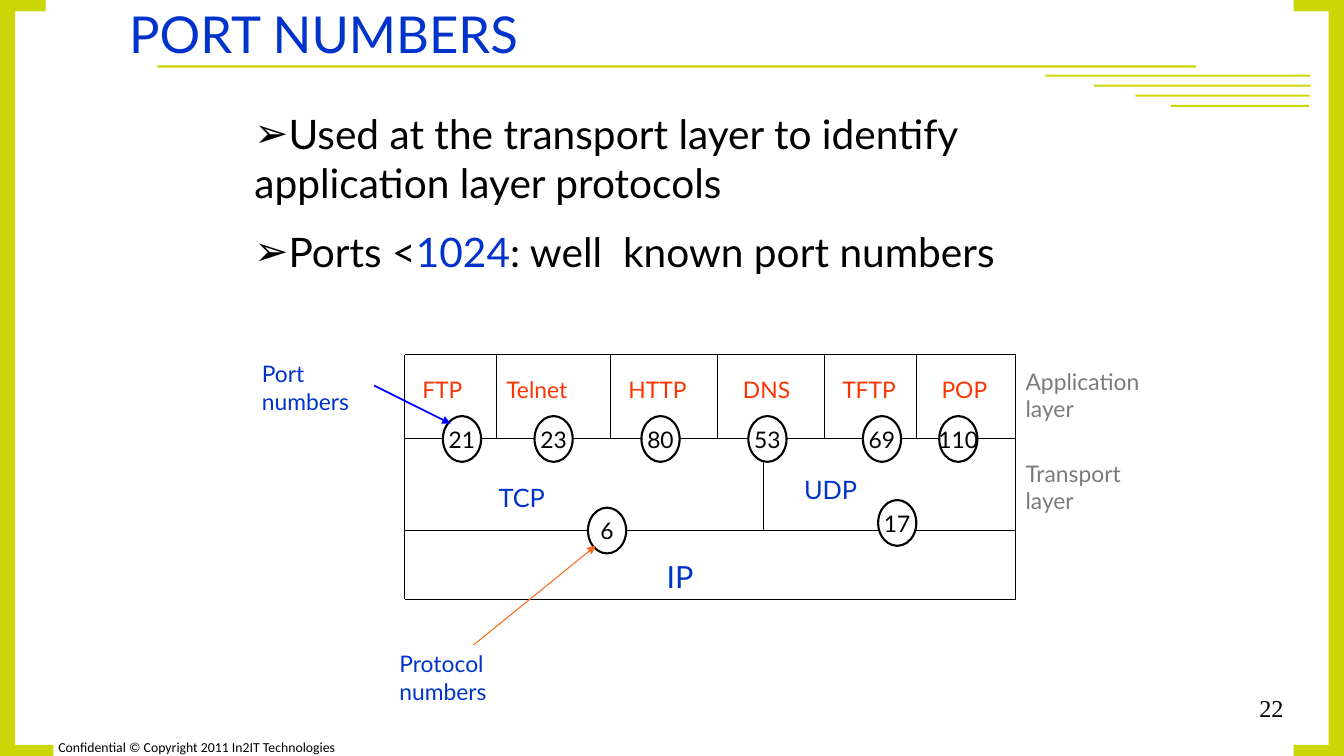
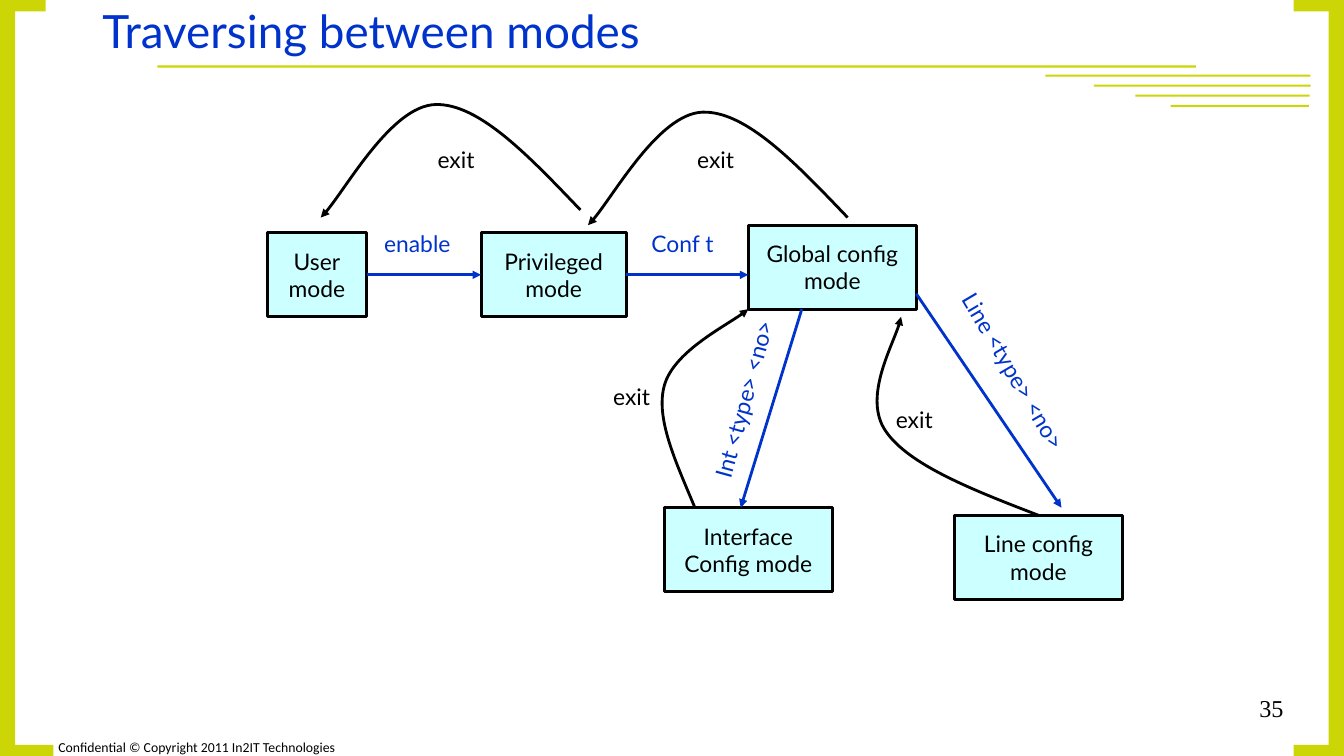
from lxml.etree import SubElement
from pptx import Presentation
from pptx.dml.color import RGBColor
from pptx.enum.shapes import MSO_CONNECTOR as Link, MSO_SHAPE as Shape
from pptx.enum.text import MSO_ANCHOR as Anchor, MSO_AUTO_SIZE as AutoSize, PP_ALIGN as Align
from pptx.oxml.ns import qn
from pptx.util import Inches, Pt

# Square grid: 176 columns, with row 0 half a cell below the top edge
WIDTH, HEIGHT = Inches(13.33), Inches(7.5)
CELL = WIDTH / 176
TOP, FULL = -0.5, HEIGHT / CELL

LIME, BLUE, RED, GREY = "CCD606", "0033CC", "FF3300", "797B7E"
BLACK, WHITE, PALE = "000000", "FFFFFF", "CCFFFF"
ARROW_BLUE, ORANGE = "0000FF", "F96A1B"
FONT, LABEL = "Lato", 16.3


def rgb(color):
    return RGBColor.from_string(color)


def point(col, row):
    return round(col * CELL), round((row + 0.5) * CELL)


def area(col, row, cols, rows):
    return (*point(col, row), round(cols * CELL), round(rows * CELL))


def add_run(para, text, size, color, font=FONT):
    span = para.add_run()
    span.text = text
    span.font.name, span.font.size = font, Pt(size)
    span.font.color.rgb = rgb(color)


def next_para(frame, index):
    return frame.add_paragraph() if index else frame.paragraphs[0]


def add_label(page, text, place, size=LABEL, color=BLACK, font=FONT, turn=0):
    box = page.shapes.add_textbox(*area(*place))
    box.rotation = turn
    box.text_frame.word_wrap = True
    add_run(box.text_frame.paragraphs[0], text, size, color, font)
    return box


def add_figure(page, kind, place, fill=None, line=None, weight=1.5,
               lines=(), size=LABEL, font=FONT):
    figure = page.shapes.add_shape(kind, *area(*place))
    figure.shadow.inherit = False
    if fill:
        figure.fill.solid()
        figure.fill.fore_color.rgb = rgb(fill)
    else:
        figure.fill.background()
    if line:
        figure.line.color.rgb = rgb(line)
        figure.line.width = Pt(weight)
    else:
        figure.line.fill.background()
    frame = figure.text_frame
    frame.word_wrap = False
    frame.vertical_anchor = Anchor.MIDDLE
    frame.margin_left = frame.margin_right = frame.margin_top = frame.margin_bottom = 0
    for index, text in enumerate(lines):
        para = next_para(frame, index)
        para.alignment = Align.CENTER
        add_run(para, text, size, BLACK, font)
    return figure


def style_line(shape, color, weight, arrow):
    shape.line.color.rgb = rgb(color)
    shape.line.width = Pt(weight)
    if arrow:
        SubElement(shape.line._get_or_add_ln(), qn("a:tailEnd"), type="triangle")


def add_line(page, start, end, color=BLACK, weight=0.75, arrow=False):
    link = page.shapes.add_connector(Link.STRAIGHT, *point(*start), *point(*end))
    style_line(link, color, weight, arrow)
    SubElement(link.element.spPr, qn("a:effectLst"))
    return link


def add_curve(page, nodes):
    """Arrowed Bezier curve: a start, then three nodes for each segment."""
    places = [point(*node) for node in nodes]
    builder = page.shapes.build_freeform(*places[0])
    builder.add_line_segments(places[1:], close=False)
    curve = builder.convert_to_shape()
    outline = curve.element.find(".//" + qn("a:path"))
    legs = outline.findall(qn("a:lnTo"))
    for first in range(0, len(legs), 3):
        bend = SubElement(outline, qn("a:cubicBezTo"))
        for leg in legs[first:first + 3]:
            bend.append(leg[0])
            outline.remove(leg)
    curve.fill.background()
    curve.shadow.inherit = False
    style_line(curve, BLACK, 2, True)


def place_placeholder(holder, place):
    holder.left, holder.top, holder.width, holder.height = area(*place)
    holder.text_frame.auto_size = AutoSize.NONE
    holder.text_frame.vertical_anchor = Anchor.TOP
    return holder.text_frame


def add_page(deck, layout, title, place, size, number):
    page = deck.slides.add_slide(deck.slide_layouts[layout])
    para = place_placeholder(page.shapes.title, place).paragraphs[0]
    para.alignment = Align.LEFT
    add_run(para, title, size, BLUE)
    add_figure(page, Shape.OVAL, (161.7, 88.6, 9.6, 7.3), line=WHITE,
               lines=[number], size=17.3, font="Times New Roman")
    return page


def add_bullets(frame, items):
    for index, spans in enumerate(items):
        para = next_para(frame, index)
        props = para._p.get_or_add_pPr()
        props.set("marL", "0")
        props.set("indent", "0")
        SubElement(props, qn("a:buChar"), char="➢")
        para.space_before = Pt(14.5 if index else 0)
        for text, color in spans:
            add_run(para, text, 29, color)


def frame_master(deck, page):
    """Draw the shared bands, rules and footer, and hand them to the master."""
    bands = [(0, TOP, 2, FULL), (174, TOP, 2, FULL)]
    bands += [(col, row, 5, 1.5) for col, row in
              [(1, TOP), (169.4, TOP), (2, 97.07), (169.4, 97.07)]]
    bands.append((20.6, 8.08, 136, 0.27))
    bands += [(col, 9.27 + 1.32 * step, cols, 0.27) for step, (col, cols) in
              enumerate([(136.9, 34.7), (143.25, 28.4), (148.7, 22.8), (153.3, 18.1)])]
    parts = [add_figure(page, Shape.RECTANGLE, band, fill=LIME) for band in bands]
    parts.append(add_label(page, "Confidential © Copyright 2011 In2IT Technologies",
                           (6.34, 95.75, 67.5, 1.2), 9.8, font="Calibri"))
    for number, part in enumerate(parts, 101):
        part.element.nvSpPr.cNvPr.set("id", str(number))
        deck.slide_master.shapes.element.append(part.element)


def add_broken_line(page, row, left, right, circles):
    """Horizontal rule that stops at each circle's sides."""
    starts = [left] + [col + 5 for col in circles]
    for start, end in zip(starts, circles + [right]):
        add_line(page, (start, row), (end, row))


def draw_ports(page):
    left, right = 53, 133
    top, transport, network, bottom = 46, 57, 69, 78
    # Application protocols: name, label column, label width, port, circle column
    protocols = [("FTP", 54, 9, "21", 58), ("Telnet", 65, 13, "23", 70),
                 ("HTTP", 81, 12, "80", 84), ("DNS", 96, 10, "53", 98),
                 ("TFTP", 109, 10, "69", 113), ("POP", 122, 10, "110", 123)]
    circles = [(port, col, 54) for _, _, _, port, col in protocols]
    circles += [("6", 77, 66), ("17", 115, 65)]
    # Layer outline and dividers
    for row in (top, bottom):
        add_line(page, (left, row), (right, row))
    for col in (left, right):
        add_line(page, (col, top), (col, bottom))
    for col in (65, 80, 94, 108, 120):
        add_line(page, (col, top), (col, transport))
    add_line(page, (100, 60), (100, network))
    add_broken_line(page, transport, left, right, [item[4] for item in protocols])
    add_broken_line(page, network, left, right, [77, 115])
    # Numbers and names
    for number, col, row in circles:
        add_figure(page, Shape.OVAL, (col, row, 5, 6), line=BLACK, lines=[number])
    for name, col, cols, _, _ in protocols:
        add_label(page, name, (col, 48, cols, 5), color=RED)
    for name, place, size in [("TCP", (64, 62, 11, 5), 18.1),
                              ("UDP", (104, 61, 11, 5), 18.1),
                              ("IP", (86, 72, 13, 6), 21.8)]:
        add_label(page, name, place, size, BLUE)
    # Notes beside the layers
    for text, place, color in [("Port numbers", (33, 46, 15, 9), BLUE),
                               ("Protocol numbers", (51, 84, 19, 9), BLUE),
                               ("Application layer", (133, 47, 19, 9), GREY),
                               ("Transport layer", (133, 59, 21, 9), GREY)]:
        add_label(page, text, place, color=color)
    add_line(page, (49, 50), (59, 55), ARROW_BLUE, 1.25, True)
    add_line(page, (62, 84), (78, 71), ORANGE, 0.75, True)


def draw_modes(page):
    # Mode boxes
    boxes = [add_figure(page, Shape.RECTANGLE, (col, row, cols, 11), PALE, BLACK, 2, lines)
             for col, row, cols, lines in [
                 (35, 30, 13, ["User", "mode"]),
                 (63, 30, 19, ["Privileged", "mode"]),
                 (98, 29, 22, ["Global config", "mode"]),
                 (87, 66, 22, ["Interface", "Config mode"]),
                 (125, 67, 22, ["Line config", "mode"])]]
    user, privileged = boxes[:2]
    # Commands that go one mode deeper
    enable, configure, _, _ = [
        add_line(page, start, end, BLUE, 2, True) for start, end in [
            ((48, 35.5), (63, 35.5)), ((82, 35.5), (98, 35.5)),
            ((105, 40), (97, 66)), ((120, 38), (139, 66))]]
    enable.begin_connect(user, 3)
    enable.end_connect(privileged, 1)
    configure.begin_connect(privileged, 3)
    for text, place, turn in [("enable", (49, 29, 12, 5), 0),
                              ("Conf t", (84, 29, 12, 5), 0),
                              ("Int <type> <no>", (83, 45, 32, 6), 285.4),
                              ("Line <type> <no>", (119, 47, 29, 5), 59.5)]:
        add_label(page, text, place, color=BLUE, turn=turn)
    # Ways back with exit
    arch = [(111, 28), (104.3, 21), (97.7, 14), (92, 14.2),
            (86.3, 14.4), (79.5, 26.7), (77, 29)]
    add_curve(page, arch)
    add_curve(page, [(col - 35, row - 1) for col, row in arch])
    add_curve(page, [(91, 66), (88.5, 60), (85.8, 54.3), (87, 50),
                     (88.2, 45.7), (96, 41.7), (98, 40)])
    add_curve(page, [(136, 67), (127.4, 63.7), (119, 60.4), (116, 56),
                     (113, 51.7), (117.6, 43.5), (118, 41)])
    for col, row in [(56, 18), (90, 18), (79, 49), (116, 52)]:
        add_label(page, "exit", (col, row, 9, 5))


def main():
    deck = Presentation()
    deck.slide_width, deck.slide_height = WIDTH, HEIGHT

    ports = add_page(deck, 1, "PORT NUMBERS", (15.6, -0.76, 119, 11.6), 36.3, "22")
    frame_master(deck, ports)
    body = place_placeholder(ports.placeholders[1], (32, 13.1, 110, 24))
    add_bullets(body, [
        [("Used at the transport layer to identify application layer protocols", BLACK)],
        [("Ports <", BLACK), ("1024", BLUE), (": well  known port numbers", BLACK)]])
    draw_ports(ports)

    modes = add_page(deck, 5, "Traversing between modes", (12.1, -0.76, 97, 8.6), 32.7, "35")
    draw_modes(modes)
    deck.save("out.pptx")


if __name__ == "__main__":
    main()
